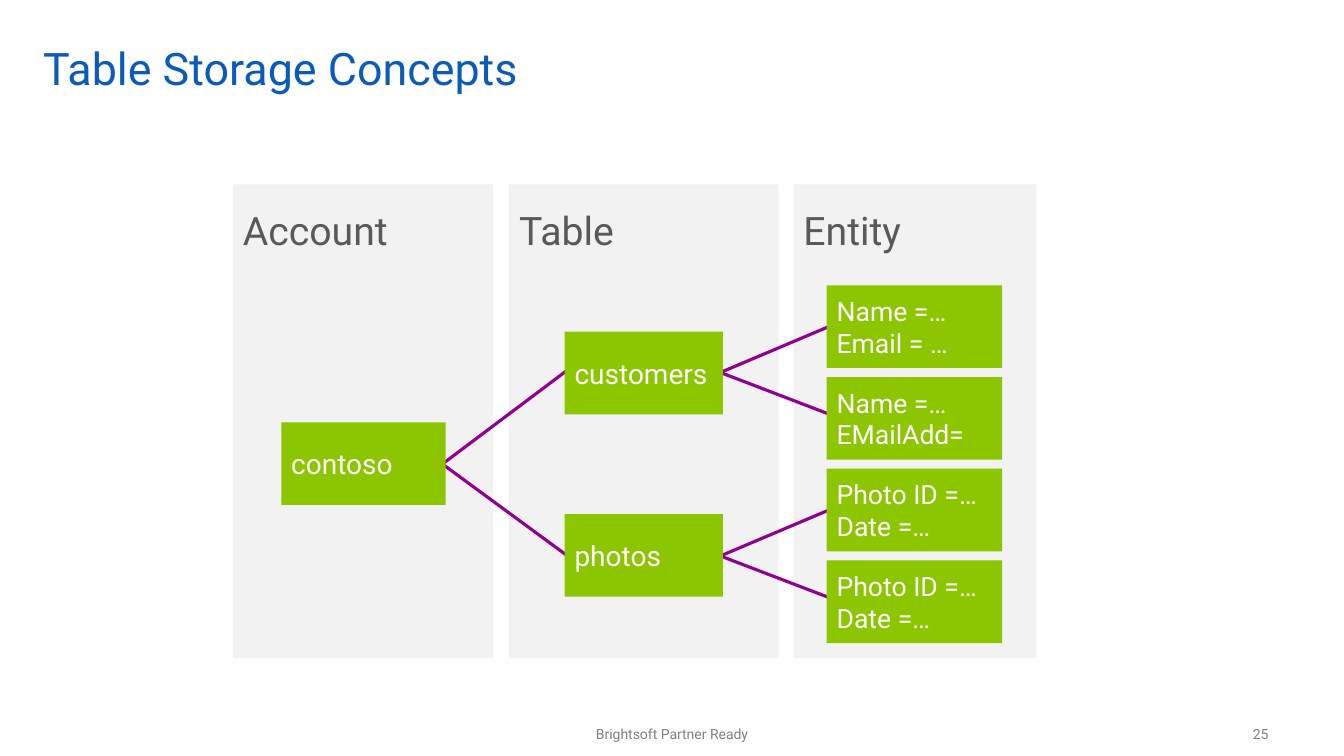
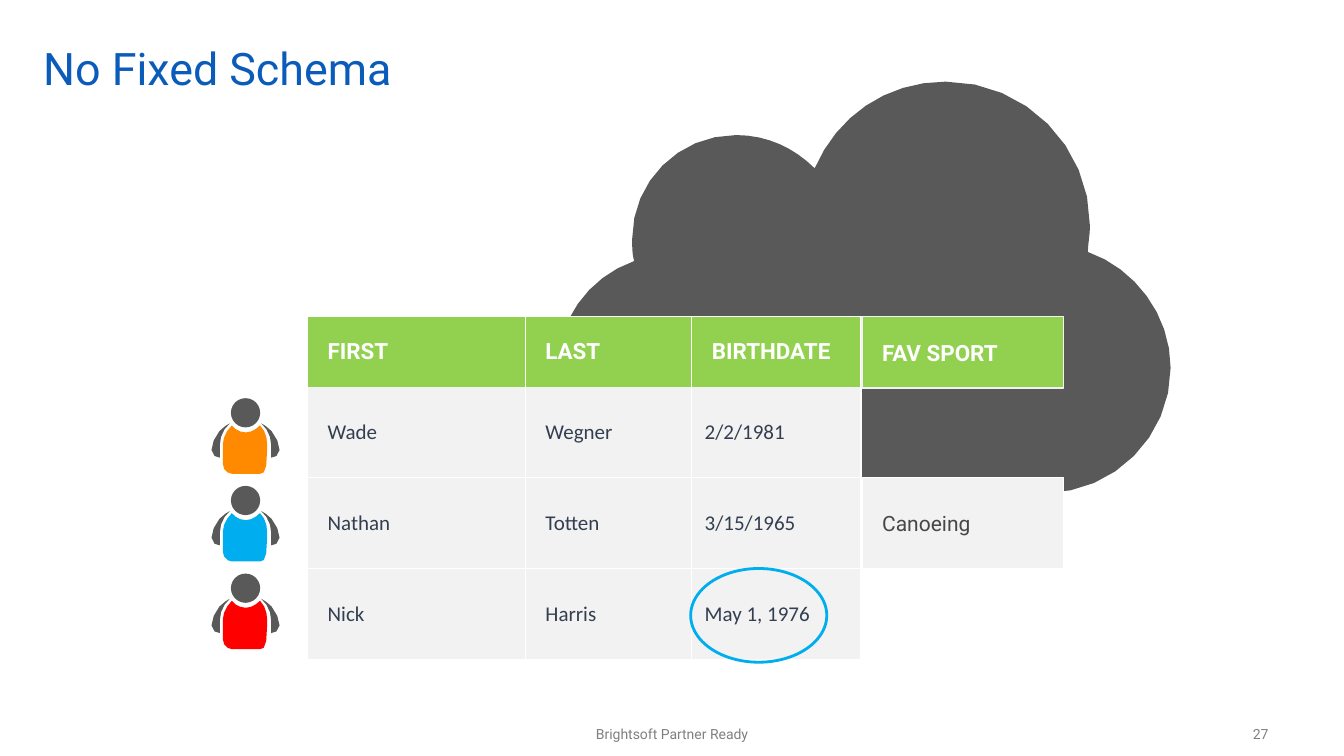
"""Builds two slides on table storage: its concepts and its lack of a fixed schema."""
from lxml import etree
from pptx import Presentation
from pptx.dml.color import RGBColor
from pptx.enum.shapes import MSO_CONNECTOR, MSO_SHAPE
from pptx.enum.text import MSO_ANCHOR, PP_ALIGN
from pptx.oxml import parse_xml
from pptx.oxml.ns import nsdecls, qn
from pptx.util import Pt

PX = 9144
RECT, OVAL, STRAIGHT = MSO_SHAPE.RECTANGLE, MSO_SHAPE.OVAL, MSO_CONNECTOR.STRAIGHT
TOP, MIDDLE = MSO_ANCHOR.TOP, MSO_ANCHOR.MIDDLE
LEFT, CENTER, RIGHT = PP_ALIGN.LEFT, PP_ALIGN.CENTER, PP_ALIGN.RIGHT
WHITE, PALE, DARK, GRAY = "FFFFFF", "F2F2F2", "595959", "808080"
BLUE, GREEN, LIME, PURPLE, SKY = "0A5BBA", "8CC600", "92D050", "910091", "00AEEF"
NO_STYLE = "{2D5ABB26-0587-4C30-8999-92F81FD0307C}"
rgb = RGBColor.from_string


def paint(sp, fill=None, line=None, weight=1):
    """Set fill and line of a shape and drop its shadow."""
    sp.shadow.inherit = False
    if fill:
        sp.fill.solid()
        sp.fill.fore_color.rgb = rgb(fill)
    else:
        sp.fill.background()
    if line:
        sp.line.color.rgb = rgb(line)
        sp.line.width = Pt(weight)
    else:
        sp.line.fill.background()
    return sp


def write(tf, text, size, color, font="Roboto", bold=False, align=LEFT,
          anchor=MIDDLE, insets=(10, 5, 10, 5), spacing=None, frame=None):
    """Fill a text frame; frame is the table cell that holds the insets, if any."""
    frame = frame or tf
    frame.margin_left, frame.margin_top, frame.margin_right, frame.margin_bottom = [
        v * PX for v in insets]
    frame.vertical_anchor = anchor
    tf.word_wrap = True
    tf.text = text
    for p in tf.paragraphs:
        p.alignment = align
        if spacing:
            p.line_spacing = spacing
        for r in p.runs:
            r.font.size, r.font.name, r.font.bold = Pt(size), font, bold
            r.font.color.rgb = rgb(color)


prs = Presentation()
prs.slide_width, prs.slide_height = 1333 * PX, 750 * PX

for title, number in (("Table Storage Concepts", "25"), ("No Fixed Schema", "27")):
    s = prs.slides.add_slide(prs.slide_layouts[6])
    for x, y, w, h, text, size, color, align, spacing in (
            (33, 33, 1233, 75, title, 32, BLUE, LEFT, 0.9),
            (511, 708, 311, 40, "Brightsoft Partner Ready", 10, GRAY, CENTER, None),
            (968, 708, 300, 40, number, 10, GRAY, RIGHT, None)):
        sp = s.shapes.add_textbox(x * PX, y * PX, w * PX, h * PX)
        write(sp.text_frame, text, size, color, align=align, spacing=spacing)

concepts, schema = prs.slides

for x, w, heading in ((231, 258, "Account"), (505, 267, "Table"), (787, 241, "Entity")):
    sp = paint(concepts.shapes.add_shape(RECT, x * PX, 183 * PX, w * PX, 470 * PX), PALE)
    write(sp.text_frame, heading, 28, DARK, anchor=TOP, insets=(10, 27, 27, 27), spacing=0.9)

links = [(422, 448, 584, 567), (430, 467, 575, 358)]
for dy in (0, 182):
    links += [(700, 364 + dy, 841, 418 + dy), (704, 374 + dy, 841, 316 + dy)]
for link in links:
    line = concepts.shapes.add_connector(STRAIGHT, *[v * PX for v in link])
    line.line.color.rgb = rgb(PURPLE)
    line.line.width = Pt(2.25)
    etree.SubElement(line._element.spPr, qn("a:effectLst"))

nodes = [(279, 419, 163, "contoso", 20), (560, 329, 157, "customers", 20),
         (560, 510, 157, "photos", 20)]
entities = ("Name =…\nEmail = …", "Name =…\nEMailAdd=", "Photo ID =…\nDate =…", "Photo ID =…\nDate =…")
nodes += [(820, 283 + 91 * i, 174, text, 19) for i, text in enumerate(entities)]
for x, y, w, text, size in nodes:
    sp = paint(concepts.shapes.add_shape(RECT, x * PX, y * PX, w * PX, 82 * PX), GREEN)
    write(sp.text_frame, text, size, WHITE)

cloud = [(1079, 250),
         (1079, 242), (1081, 233), (1081, 224), (1081, 145), (1017, 81), (938, 81),
         (878, 81), (830, 116), (808, 167), (788, 147), (761, 134), (730, 134),
         (673, 134), (627, 180), (627, 237), (627, 244), (627, 253), (629, 259),
         (583, 275), (552, 319), (552, 369), (552, 436), (605, 489), (671, 489),
         (671, 489), (1037, 489), (1037, 489), (1105, 489), (1161, 433), (1161, 365),
         (1161, 312), (1125, 266), (1079, 250)]
arm = [(228, 420),
       (225, 422), (217, 425), (212, 437), (206, 448), (213, 455), (218, 454),
       (218, 454), (218, 442), (218, 442), (218, 433), (222, 425), (228, 420)]
body = [(265, 441),
        (265, 434), (263, 427), (258, 422), (254, 426), (249, 429), (244, 429),
        (238, 429), (233, 426), (230, 422), (225, 427), (221, 434), (221, 441),
        (221, 441), (221, 460), (221, 460), (221, 466), (226, 470), (230, 470),
        (230, 470), (258, 470), (258, 470), (262, 470), (265, 468), (265, 446),
        (265, 446), (265, 441), (265, 441)]
other_arm = [(487 - x, y) for x, y in arm]

outlines = [(cloud, 0, DARK, 8)]
for i, shirt in enumerate(("FF8A00", SKY, "FF0000")):
    dy = 87 * i
    outlines += [(arm, dy, DARK, 3), (other_arm, dy, DARK, 3), (body, dy, shirt, 3)]
    paint(schema.shapes.add_shape(OVAL, 229 * PX, (395 + dy) * PX, 29 * PX, 29 * PX), DARK)

for curve, dy, fill, smoothness in outlines:
    points = []
    for i in range(0, len(curve) - 1, 3):
        start, pull, push, end = curve[i:i + 4]
        steps = 1 if start == pull and push == end else smoothness
        for step in range(1, steps + 1):
            t = step / steps
            weights = ((1 - t) ** 3, 3 * t * (1 - t) ** 2, 3 * t * t * (1 - t), t ** 3)
            x, y = [sum(k * c[axis] for k, c in zip(weights, (start, pull, push, end)))
                    for axis in (0, 1)]
            points.append((x * PX, (y + dy) * PX))
    builder = schema.shapes.build_freeform(curve[0][0] * PX, (curve[0][1] + dy) * PX)
    builder.add_line_segments(points)
    paint(builder.convert_to_shape(), fill)

rows = (("", "FIRST", "LAST", "BIRTHDATE"), ("", "Wade", "Wegner", "2/2/1981"),
        ("", "Nathan", "Totten", "3/15/1965"), ("", "Nick", "Harris", "May 1, 1976"))
table = schema.shapes.add_table(4, 4, 89 * PX, 314 * PX, 765 * PX, 340 * PX).table
table.first_row = table.horz_banding = False
table._tbl.tblPr[0].text = NO_STYLE
for column, w in zip(table.columns, (216, 216, 165, 168)):
    column.width = w * PX
for row, h in zip(table.rows, (70, 90, 90, 90)):
    row.height = h * PX
for i, row in enumerate(rows):
    for j, text in enumerate(row):
        if not text:
            continue
        cell = table.cell(i, j)
        tcPr = cell._tc.get_or_add_tcPr()
        for side in {0: "LRT", 1: "LRB"}.get(i, "LRTB"):
            tcPr.append(parse_xml(
                f'<a:ln{side} {nsdecls("a")} w="12700"><a:solidFill>'
                f'<a:srgbClr val="{WHITE}"/></a:solidFill></a:ln{side}>'))
        cell.fill.solid()
        cell.fill.fore_color.rgb = rgb(PALE if i else LIME)
        inset = 13 if i and j == 3 else 20
        size, color, font = (15, "333F50", "Calibri") if i else (16, WHITE, "Roboto")
        write(cell.text_frame, text, size, color, font, bold=i == 0,
              insets=(inset, 5, inset, 5), frame=cell)

paint(schema.shapes.add_shape(OVAL, 685 * PX, 564 * PX, 135 * PX, 93 * PX), line=SKY, weight=2)

for y, h, text, size, color, fill, line in (
        (314, 71, "FAV SPORT", 16, WHITE, LIME, PALE),
        (474, 90, "Canoeing", 15, "474747", PALE, WHITE)):
    sp = paint(schema.shapes.add_shape(RECT, 855 * PX, y * PX, 200 * PX, h * PX), fill, line)
    write(sp.text_frame, text, size, color, bold=fill == LIME, insets=(20, 5, 10, 5))

prs.save("out.pptx")
